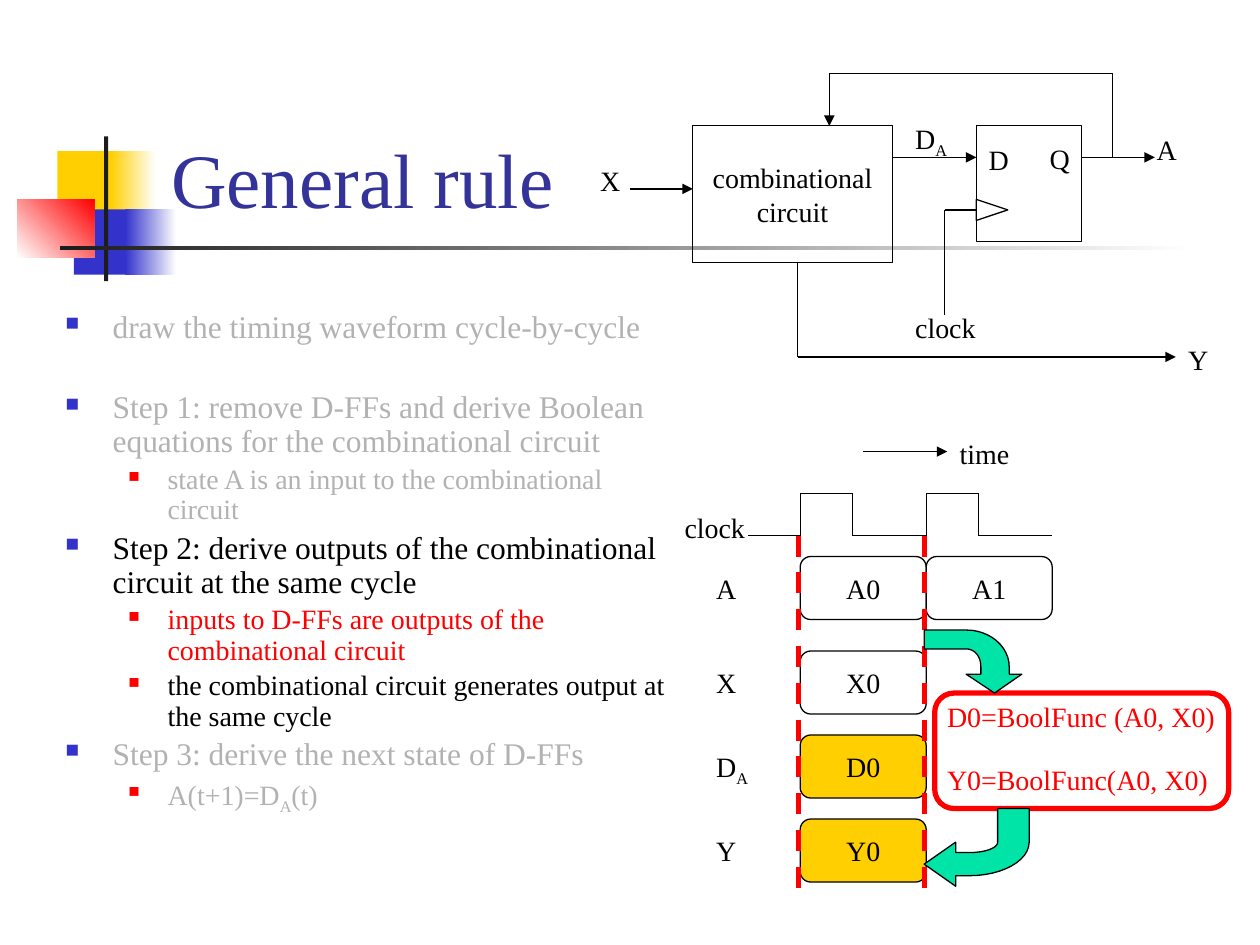
from dataclasses import dataclass
from itertools import pairwise

from lxml.etree import SubElement
from pptx import Presentation
from pptx.dml.color import RGBColor
from pptx.enum.dml import MSO_LINE
from pptx.enum.shapes import MSO_CONNECTOR as Link, MSO_SHAPE as Kind
from pptx.enum.text import MSO_ANCHOR as Anchor, MSO_AUTO_SIZE as Fit, PP_ALIGN as Align
from pptx.oxml.ns import qn
from pptx.util import Cm, Pt


@dataclass(frozen=True)
class Theme:
    font: str = "Times New Roman"
    black: str = "000000"
    white: str = "FFFFFF"
    ink: str = "1C1C1C"
    gray: str = "B2B2B2"
    red: str = "FF0000"
    blue: str = "3333CC"
    navy: str = "333399"
    gold: str = "FFCF01"
    green: str = "00E4A8"
    head: int = 44
    body: int = 18
    note: int = 16
    thin: float = 0.75
    thick: float = 3


T = Theme()
UNIT = 2.54 / 12  # the drawings sit on a grid of twelve steps to the inch


def put(obj, **vals):
    for key, val in vals.items():
        setattr(obj, key, val)


def rgb(tone):
    return RGBColor.from_string(tone)


def write(para, text, size=T.note, tone=T.black):
    """Add runs split at "|"; every second one is a subscript."""
    for i, part in enumerate(text.split("|")):
        run = para.add_run()
        run.text = part
        put(run.font, name=T.font, size=Pt(size))
        run.font.color.rgb = rgb(tone)
        if i % 2:
            run._r.get_or_add_rPr().set("baseline", "-25000")


def paint(shape, fill=None, line=None, width=T.thin):
    shape.shadow.inherit = False
    if fill is None:
        shape.fill.background()
    elif isinstance(fill, tuple):
        shape.fill.gradient()
        *tones, angle = fill
        shape.fill.gradient_angle = angle
        for stop, tone in zip(shape.fill.gradient_stops, tones):
            stop.color.rgb = rgb(tone)
    else:
        shape.fill.solid()
        shape.fill.fore_color.rgb = rgb(fill)
    if line is None:
        shape.line.fill.background()
    else:
        shape.line.color.rgb = rgb(line)
        shape.line.width = Pt(width)


class Grid:
    """Places parts in grid steps from the corner of a box given in cm."""

    def __init__(self, slide, left, top):
        self.shapes, self.left, self.top = slide.shapes, left, top

    def spot(self, x, y):
        return Cm(self.left + x * UNIT), Cm(self.top + y * UNIT)

    def area(self, x, y, w, h):
        return *self.spot(x, y), Cm(w * UNIT), Cm(h * UNIT)

    def box(self, kind, at, lines=(), fill=None, line=T.black, width=T.thin):
        shape = self.shapes.add_shape(kind, *self.area(*at))
        paint(shape, fill, line, width)
        frame = shape.text_frame
        put(frame, word_wrap=False, vertical_anchor=Anchor.MIDDLE)
        for i, text in enumerate(lines):
            para = frame.add_paragraph() if i else frame.paragraphs[0]
            para.alignment = Align.CENTER
            write(para, text)
        return shape

    def label(self, text, x, y, w=4.3, tone=T.black):
        frame = self.shapes.add_textbox(*self.area(x, y, w, 4.4)).text_frame
        put(frame, word_wrap=False, auto_size=Fit.SHAPE_TO_FIT_TEXT)
        write(frame.paragraphs[0], text, tone=tone)

    def wire(self, *spots, tip=False, tone=T.black, width=T.thin, dash=None):
        for start, end in pairwise(spots):
            link = self.shapes.add_connector(
                Link.STRAIGHT, *self.spot(*start), *self.spot(*end))
            link.line.color.rgb = rgb(tone)
            put(link.line, width=Pt(width), dash_style=dash)
            SubElement(link._element.spPr, qn("a:effectLst"))
        if tip:
            SubElement(link.line._get_or_add_ln(), qn("a:tailEnd"), type="triangle")

    def bend(self, steps):
        """Closed outline; a step of three points is a Bezier curve."""
        spots = []
        for step in steps:
            if isinstance(step[0], tuple):
                ctrl = (spots[-1], *step)
                for t in (i / 12 for i in range(1, 13)):
                    mix = ((1 - t) ** 3, 3 * t * (1 - t) ** 2, 3 * t * t * (1 - t), t ** 3)
                    spots.append(tuple(sum(m * c[k] for m, c in zip(mix, ctrl))
                                       for k in (0, 1)))
            else:
                spots.append(step)
        first, *rest = [self.spot(*s) for s in spots]
        pen = self.shapes.build_freeform(*first)
        pen.add_line_segments(rest, close=True)
        paint(pen.convert_to_shape(), T.green, T.black)


def decor(slide, left, top):
    for x, y, w, h, fill in (
        (0.81, 0.3, 1.22, 1.32, T.gold),
        (1.88, 0.3, 0.91, 1.32, (T.gold, T.white, 0)),
        (1.14, 1.47, 1.17, 1.32, T.blue),
        (2.18, 1.47, 1.02, 1.32, (T.blue, T.white, 0)),
        (0, 1.27, 1.55, 1.17, (T.white, T.red, 45)),
        (1.75, 0, 0.08, 2.92, T.ink),
        (0.86, 2.21, 22.86, 0.08, (T.ink, T.white, 0)),
    ):
        bar = slide.shapes.add_shape(
            Kind.RECTANGLE, Cm(left + x), Cm(top + y), Cm(w), Cm(h))
        paint(bar, fill)


def title(slide, *box):
    frame = slide.shapes.add_textbox(*map(Cm, box)).text_frame
    put(frame, word_wrap=True, vertical_anchor=Anchor.BOTTOM)
    write(frame.paragraphs[0], "General rule", T.head, T.navy)


def steps(slide, *box):
    frame = slide.shapes.add_textbox(*map(Cm, box)).text_frame
    frame.word_wrap = True
    # size, left indent, hanging, bullet colour, bullet size for each level
    looks = ((T.body, 0.95, 0.95, T.blue, 60), (T.note, 2.06, 0.79, T.red, 55))
    rows = (
        (0, T.gray, "draw the timing waveform cycle-by-cycle"),
        (0, T.gray, "Step 1: remove D-FFs and derive Boolean equations for the combinational circuit"),
        (1, T.gray, "state A is an input to the combinational circuit"),
        (0, T.black, "Step 2: derive outputs of the combinational circuit at the same cycle"),
        (1, T.red, "inputs to D-FFs are outputs of the combinational circuit"),
        (1, T.black, "the combinational circuit generates output at the same cycle"),
        (0, T.gray, "Step 3: derive the next state of D-FFs"),
        (1, T.gray, "A(t+1)=D|A|(t)"),
    )
    for i, (level, tone, text) in enumerate(rows):
        size, left, hang, mark, scale = looks[level]
        para = frame.add_paragraph() if i else frame.paragraphs[0]
        gap = 26.5 if i == 1 else size * 0.2
        put(para, level=level, line_spacing=0.9, space_before=Pt(gap))
        props = para._p.get_or_add_pPr()
        props.set("marL", str(Cm(left)))
        props.set("indent", str(-Cm(hang)))
        SubElement(SubElement(props, qn("a:buClr")), qn("a:srgbClr"), val=mark)
        SubElement(props, qn("a:buSzPct"), val=str(scale * 1000))
        SubElement(props, qn("a:buChar"), char="■")
        write(para, text, size, tone)


def circuit(slide, left, top):
    g = Grid(slide, left, top)
    # Logic block and flip-flop
    g.box(Kind.RECTANGLE, (10, 5, 19, 13), ("combinational", "circuit"))
    g.box(Kind.RECTANGLE, (37, 5, 10, 11))
    g.box(Kind.ISOSCELES_TRIANGLE, (37.5, 11.5, 2, 3)).rotation = 90
    # Wires
    g.wire((29, 8), (37, 8), tip=True)
    g.wire((37, 13), (34, 13), (34, 23))
    g.wire((47, 8), (54, 8), tip=True)
    g.wire((50, 8), (50, 0), (23, 0), (23, 5), tip=True)
    g.wire((20, 18), (20, 27), (56, 27), tip=True)
    g.wire((4, 11), (10, 11), tip=True)
    # Signal names
    for text, x, y, w in (
        ("D", 37, 6, 4.3), ("Q", 42.8, 5.9, 4.3), ("clock", 30, 22, 8.2),
        ("A", 53, 5, 4.3), ("D|A", 30, 4, 5.6), ("Y", 56, 25, 4.3), ("X", 0, 8, 4.3),
    ):
        g.label(text, x, y, w)


def waves(slide, left, top):
    g = Grid(slide, left, top)
    start, cycle, high, low = 12.2, 12, 6, 10
    # Time axis and clock
    g.wire((18.2, 2), (26.2, 2), tip=True)
    g.label("time", 26.2, 0, 7.2)
    g.label("clock", 0, 7, 8.2)
    g.wire((7.2, low), (start, low))
    for x in (start, start + cycle):
        g.wire((x, low), (x, high), (x + 5, high), (x + 5, low), (x + cycle, low))
    # One row of values for each signal
    for name, y, fill, vals in (
        ("A", 12, None, ("A0", "A1")), ("X", 21, None, ("X0",)),
        ("D|A", 29, T.gold, ("D0",)), ("Y", 37, T.gold, ("Y0",)),
    ):
        g.label(name, 3, y + 0.8, 5.6 if "|" in name else 4.3)
        for i, val in enumerate(vals):
            g.box(Kind.ROUNDED_RECTANGLE, (start + i * cycle, y, cycle, 6), (val,), fill)
    # Cycle limits
    for x in (12, 24):
        g.wire((x, low), (x, 44), tone=T.red, width=T.thick, dash=MSO_LINE.DASH)
    # Callout and its arrows
    g.label("D0=BoolFunc (A0, X0)", 25, 25, 28, T.red)
    g.label("Y0=BoolFunc(A0, X0)", 25, 31, 27.4, T.red)
    g.box(Kind.ROUNDED_RECTANGLE, (25, 25, 28, 11), line=T.red, width=T.thick)
    g.bend(((30.7, 25), (33.3, 23.2), (32.1, 23.2), (32.1, 22.5),
            ((32.1, 20.6), (30.3, 19), (28, 19)), (24, 19), (24, 20.8), (28, 20.8),
            ((28.8, 20.8), (29.4, 21.5), (29.4, 22.5)), (29.4, 23.2), (28, 23.2)))
    g.bend(((24, 41.3), (27, 43.4), (27, 42.4), (28.3, 42.4),
            ((31.4, 42.4), (34, 41), (34, 39.2)), (34, 36), (31, 36), (31, 39.2),
            ((31, 39.8), (29.7, 40.2), (28.3, 40.2)), (27, 40.2), (27, 39.2)))


def main():
    deck = Presentation()
    put(deck, slide_width=Cm(25.4), slide_height=Cm(19.05))
    slide = deck.slides.add_slide(deck.slide_layouts[6])
    decor(slide, 0.35, 2.75)
    title(slide, 3.2, 0.58, 21.64, 4.06)
    steps(slide, 1.07, 6.15, 12.9, 11.43)
    circuit(slide, 11.85, 1.48)
    waves(slide, 13.55, 8.68)
    deck.save("out.pptx")


if __name__ == "__main__":
    main()
